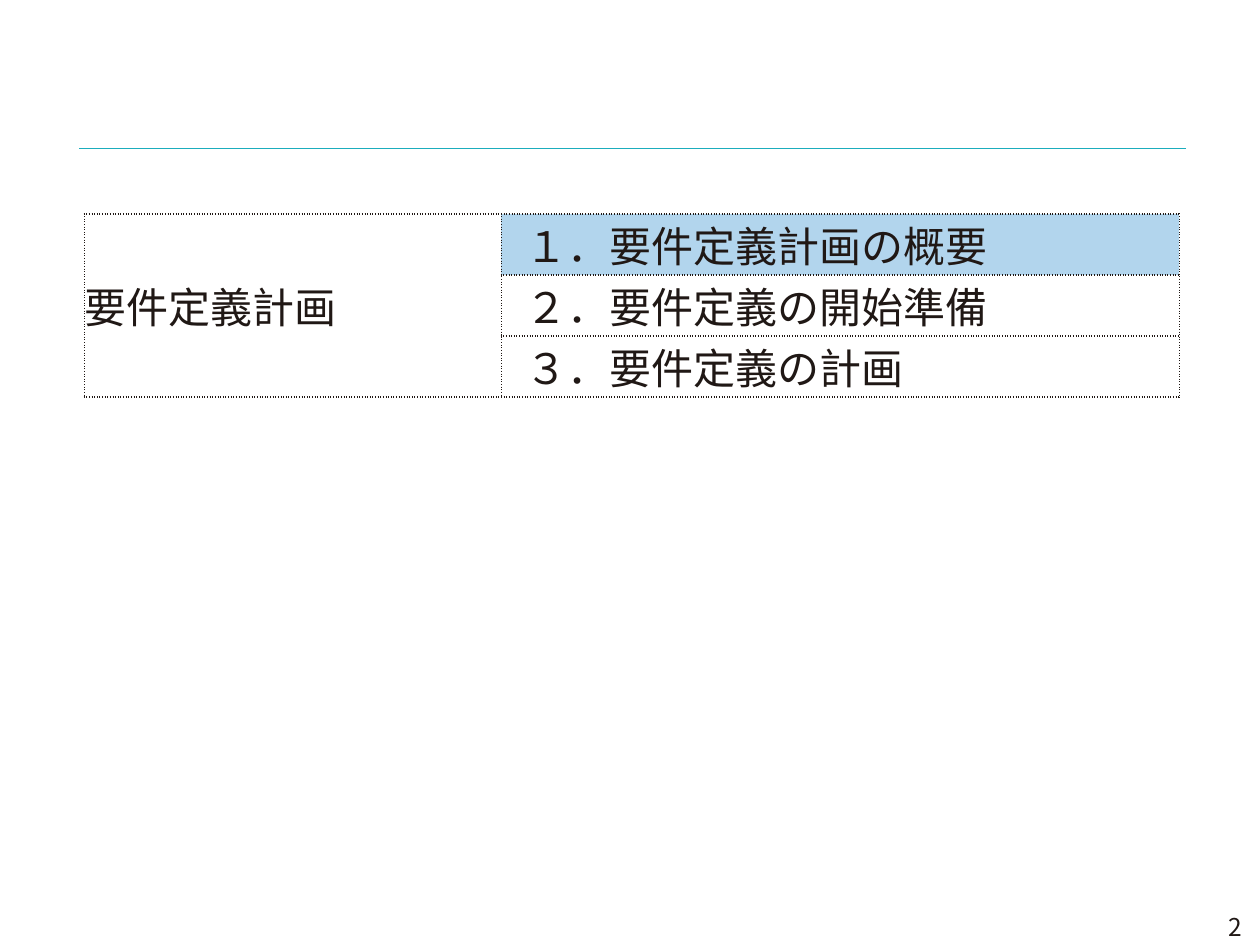
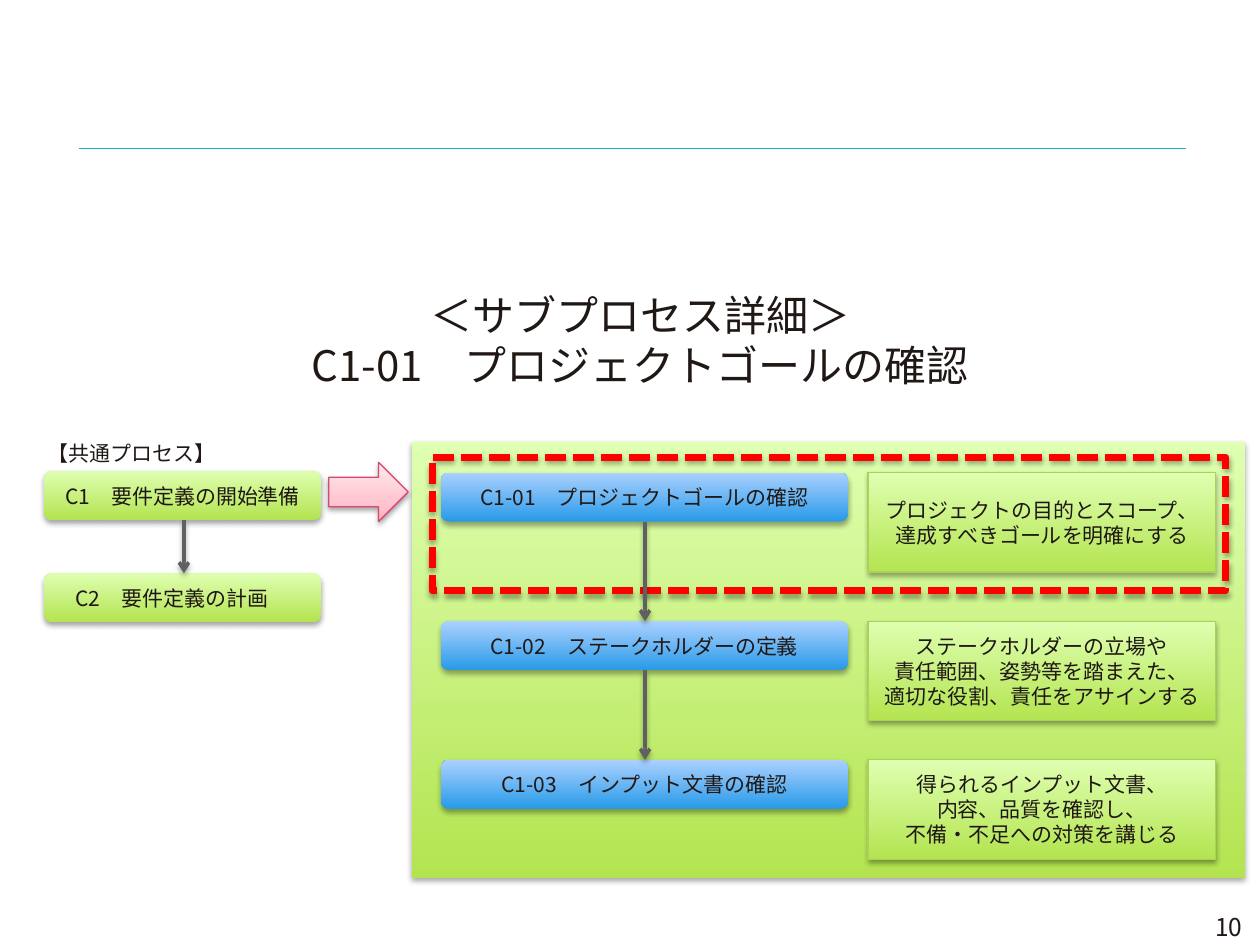
from copy import deepcopy

from lxml import etree
from pptx import Presentation
from pptx.dml.color import RGBColor
from pptx.enum.dml import MSO_LINE
from pptx.enum.shapes import MSO_CONNECTOR, MSO_SHAPE
from pptx.enum.text import MSO_ANCHOR, MSO_AUTO_SIZE, PP_ALIGN
from pptx.oxml.ns import qn
from pptx.util import Emu, Pt

RECT = MSO_SHAPE.RECTANGLE
ROUNDED = MSO_SHAPE.ROUNDED_RECTANGLE
RIGHT_ARROW = MSO_SHAPE.RIGHT_ARROW
STRAIGHT = MSO_CONNECTOR.STRAIGHT
DASHED = MSO_LINE.SQUARE_DOT
LEFT, CENTER, RIGHT = PP_ALIGN.LEFT, PP_ALIGN.CENTER, PP_ALIGN.RIGHT
TOP, MIDDLE = MSO_ANCHOR.TOP, MSO_ANCHOR.MIDDLE
NO_AUTOFIT = MSO_AUTO_SIZE.NONE

WHITE = RGBColor(0xFF, 0xFF, 0xFF)
INK = RGBColor(0x20, 0x18, 0x15)
TEAL = RGBColor(0x1B, 0xAD, 0xBD)
CURRENT_TOPIC = RGBColor(0xB2, 0xD5, 0xED)
RED = RGBColor(0xFF, 0x00, 0x00)
GRAY = RGBColor(0x5F, 0x60, 0x62)
OLIVE = RGBColor(0xAA, 0xD1, 0x5C)
ROSE = RGBColor(0xD6, 0x47, 0x73)
# Gradient stops run from bottom to top.
GREENS = [(0, RGBColor(0xB3, 0xE4, 0x50)), (1, RGBColor(0xDF, 0xFF, 0xB1))]
BLUES = [(0, RGBColor(0x28, 0x9A, 0xE8)), (1, RGBColor(0xAB, 0xD1, 0xFF))]
PINKS = [(0, RGBColor(0xFF, 0xAF, 0xBF)), (0.35, RGBColor(0xFF, 0xC6, 0xD1)),
         (1, RGBColor(0xFF, 0xE9, 0xED))]

FONT = "Noto Sans CJK JP"
LINE_HEIGHT = 1.19
TITLE_ONLY, BLANK = 5, 6


def px(length):
    """Convert px, 100 to the inch, into EMU."""
    return Emu(length * 9144)


def box_px(*lengths):
    return [px(length) for length in lengths]


def add_xml(parent, tag, **attributes):
    return etree.SubElement(parent, qn(tag), attributes)


class Deck:
    def __init__(self):
        self.prs = Presentation()
        self.prs.slide_width, self.prs.slide_height = box_px(1000, 750)
        self.slide = None

    def new_slide(self, number, layout):
        self.slide = self.prs.slides.add_slide(self.prs.slide_layouts[layout])
        self.connector((63, 118), (941, 118), TEAL, 0.25)
        self.text_box((857, 720, 139, 31), [number], 14, RIGHT, MIDDLE)

    def set_lines(self, frame, lines, size, align, anchor):
        frame.word_wrap = True
        frame.auto_size = NO_AUTOFIT
        frame.vertical_anchor = anchor
        for i, line in enumerate(lines):
            paragraph = frame.paragraphs[0] if i == 0 else frame.add_paragraph()
            paragraph.text = line
            paragraph.line_spacing = Pt(size * LINE_HEIGHT)
            self.style_text(paragraph, size, align)

    def style_text(self, paragraph, size, align):
        paragraph.alignment = align
        font = paragraph.font
        font.name, font.size, font.bold = FONT, Pt(size), False
        font.color.rgb = INK
        add_xml(paragraph._p.pPr.find(qn("a:defRPr")), "a:ea", typeface=FONT)

    def title(self, box, lines):
        heading = self.slide.shapes.title
        heading.left, heading.top, heading.width, heading.height = box_px(*box)
        self.set_lines(heading.text_frame, lines, 24, CENTER, TOP)

    def text_box(self, box, lines, size, align=LEFT, anchor=TOP):
        frame = self.slide.shapes.add_textbox(*box_px(*box)).text_frame
        self.set_lines(frame, lines, size, align, anchor)

    def shape(self, kind, box, gradient=None, line=None, width=0.75, dash=None, lines=()):
        shape = self.slide.shapes.add_shape(kind, *box_px(*box))
        if gradient:
            self.fill_gradient(shape, gradient)
        else:
            shape.fill.background()
        if line:
            shape.line.color.rgb = line
            shape.line.width = Pt(width)
            shape.line.dash_style = dash
        else:
            shape.line.fill.background()
        shape.shadow.inherit = False
        self.cast_shadow(shape._element.spPr.find(qn("a:effectLst")))
        frame = shape.text_frame
        frame.margin_left = frame.margin_right = px(5)
        self.set_lines(frame, lines, 12, CENTER, MIDDLE)

    def fill_gradient(self, shape, gradient):
        shape.fill.gradient()
        shape.fill.gradient_angle = 90
        stops = shape._element.spPr.find(".//" + qn("a:gsLst"))
        while len(stops) < len(gradient):
            stops.append(deepcopy(stops[0]))
        for stop, (position, color) in zip(shape.fill.gradient_stops, gradient):
            stop.position, stop.color.rgb = position, color

    def cast_shadow(self, effects):
        shadow = add_xml(effects, "a:outerShdw", blurRad=str(Pt(3.1)), dist=str(Pt(1.8)),
                         dir="5400000", rotWithShape="0")
        add_xml(add_xml(shadow, "a:srgbClr", val="000000"), "a:alpha", val="35000")

    def connector(self, start, end, color, width):
        """Draw a line without shadow and return its shape properties."""
        connector = self.slide.shapes.add_connector(STRAIGHT, *box_px(*start, *end))
        connector.line.color.rgb = color
        connector.line.width = Pt(width)
        properties = connector._element.spPr
        add_xml(properties, "a:effectLst")
        return properties

    def arrow(self, x, top, bottom):
        properties = self.connector((x, top), (x, bottom), GRAY, 2)
        add_xml(properties.find(qn("a:ln")), "a:tailEnd", type="arrow")
        self.cast_shadow(properties.find(qn("a:effectLst")))

    def agenda(self, box, column_widths, subject, topics, current):
        """Draw a subject cell beside its topics, with the current topic filled."""
        table = self.slide.shapes.add_table(len(topics), 2, *box_px(*box)).table
        table.first_row = table.horz_banding = False
        for column, width in zip(table.columns, column_widths):
            column.width = px(width)
        for cell in table.iter_cells():
            self.dot_borders(cell)
            cell.fill.background()
            cell.vertical_anchor = MIDDLE
            cell.margin_left = cell.margin_right = cell.margin_top = cell.margin_bottom = 0
        table.cell(0, 0).merge(table.cell(len(topics) - 1, 0))
        self.cell_text(table.cell(0, 0), subject)
        for row, topic in enumerate(topics):
            cell = table.cell(row, 1)
            cell.margin_left = px(19)
            cell.fill.solid()
            cell.fill.fore_color.rgb = CURRENT_TOPIC if row == current else WHITE
            self.cell_text(cell, topic)

    def cell_text(self, cell, text):
        paragraph = cell.text_frame.paragraphs[0]
        paragraph.text = text
        self.style_text(paragraph, 24, LEFT)

    def dot_borders(self, cell):
        properties = cell._tc.get_or_add_tcPr()
        for side in "LRTB":
            border = add_xml(properties, f"a:ln{side}", w=str(Pt(1)))
            add_xml(add_xml(border, "a:solidFill"), "a:srgbClr", val=str(INK))
            add_xml(border, "a:prstDash", val="sysDot")


def agenda_slide(deck):
    deck.new_slide("2", BLANK)
    topics = ["１．要件定義計画の概要", "２．要件定義の開始準備", "３．要件定義の計画"]
    deck.agenda((67, 170, 869, 120), (331, 538), "要件定義計画", topics, current=0)


def process_slide(deck):
    deck.new_slide("10", TITLE_ONLY)
    deck.title((59, 225, 898, 91), ["＜サブプロセス詳細＞", "C1-01　プロジェクトゴールの確認"])
    deck.shape(RECT, (327, 351, 661, 346), GREENS)
    deck.shape(RECT, (343, 363, 630, 106), line=RED, width=4, dash=DASHED)

    step_height = 39
    processes = [(374, "C1　要件定義の開始準備"), (455, "C2　要件定義の計画　")]
    subprocesses = [
        (375, "C1-01　プロジェクトゴールの確認",
         ["プロジェクトの目的とスコープ、", "達成すべきゴールを明確にする"]),
        (493, "C1-02　ステークホルダーの定義",
         ["ステークホルダーの立場や", "責任範囲、姿勢等を踏まえた、", "適切な役割、責任をアサインする"]),
        (603, "C1-03　インプット文書の確認",
         ["得られるインプット文書、", "内容、品質を確認し、", "不備・不足への対策を講じる"]),
    ]
    for top, name in processes:
        deck.shape(ROUNDED, (35, top, 220, step_height), GREENS, lines=[name])
    for top, name, purpose in subprocesses:
        deck.shape(ROUNDED, (350, top, 323, step_height), BLUES, lines=[name])
        deck.shape(RECT, (689, top, 276, 79), GREENS, OLIVE, lines=purpose)
    for x, steps in ((146, processes), (512, subprocesses)):
        for above, below in zip(steps, steps[1:]):
            deck.arrow(x, above[0] + step_height, below[0])

    deck.shape(RIGHT_ARROW, (261, 367, 63, 47), PINKS, ROSE)
    deck.text_box((28, 345, 205, 30), ["【共通プロセス】"], 12)


def main():
    deck = Deck()
    agenda_slide(deck)
    process_slide(deck)
    deck.prs.save("out.pptx")


if __name__ == "__main__":
    main()
